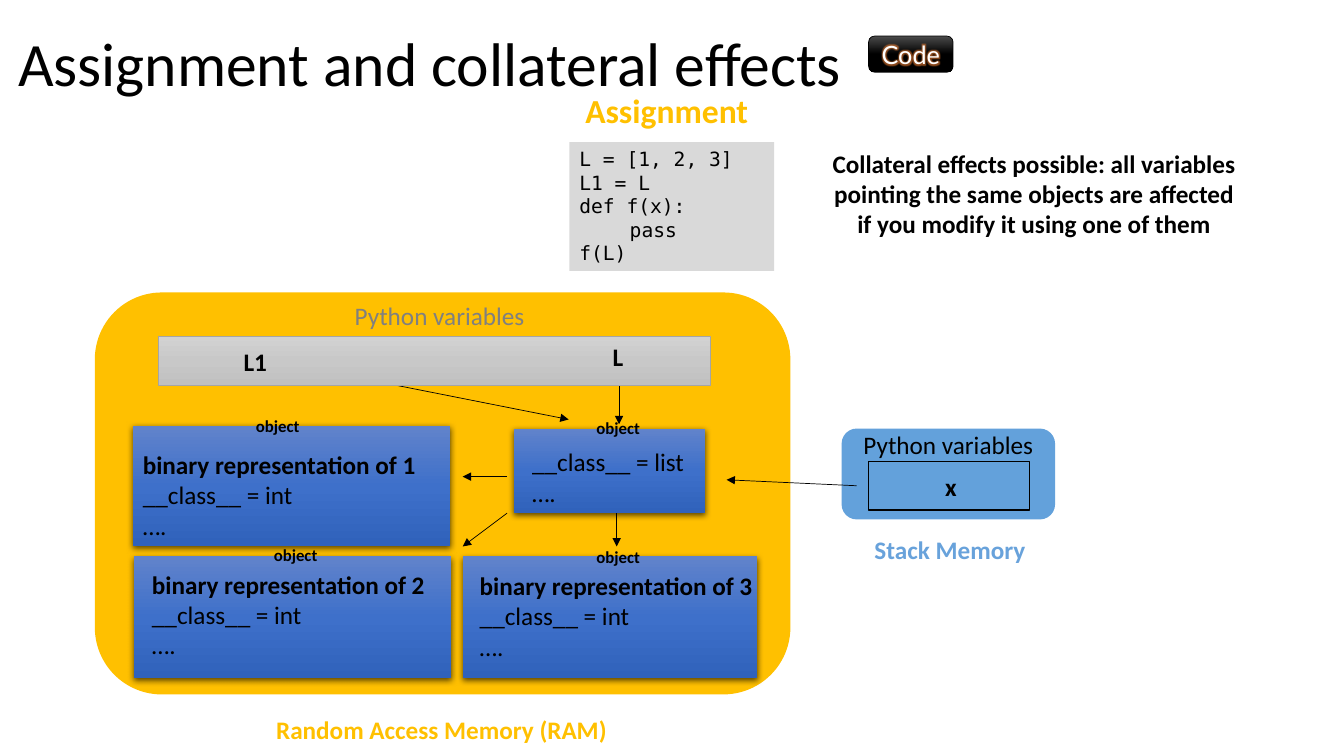
import copy
import lxml.etree
import pptx
import pptx.dml.color
import pptx.enum.shapes
import pptx.enum.text
import pptx.oxml.ns
import pptx.util

Cm, Pt = pptx.util.Cm, pptx.util.Pt
qn = pptx.oxml.ns.qn
SHAPE = pptx.enum.shapes.MSO_SHAPE
ALIGN = pptx.enum.text.PP_ALIGN
ANCHOR = pptx.enum.text.MSO_ANCHOR
FIT = pptx.enum.text.MSO_AUTO_SIZE


class Theme:
    black, white, gray = "000000", "FFFFFF", "808080"
    amber, stack, stack_label = "FFC000", "63A1DB", "68A2DB"
    code_back, bar_line, glow = "D9D9D9", "A5A5A5", "ED7D31"
    object_fill = ("6183CB", "3E70CA", "3062BB")
    bar_fill = ("D2D2D2", "C8C8C8", "C0C0C0")
    button_fill = ("4B4B4B", "000000", "000000")
    body, mono, button = "Calibri", "DejaVu Sans Mono", "Lato"
    title_size, heading_size, body_size, code_size, tag_size = 44, 24, 18, 14, 12


# All places are (left, top, width, height) in centimetres.
TITLE = ("Assignment and collateral effects", (0.2, 0.53, 29.21, 2.29))
CODE = (["L = [1, 2, 3]", "L1 = L", "def f(x):", "pass", "f(L)"], (14.35, 3.58, 5.16, 3.25))
INDENTED_LINE = 3
BUTTON = ("Code", (21.89, 0.91, 2.13, 0.91))
RAM = (2.39, 7.37, 17.53, 10.13)
STACK = (21.21, 10.8, 5.38, 2.29)
STACK_FRAME = (21.89, 11.63, 4.06, 1.22)
VARIABLE_BAR = (3.99, 8.48, 13.92, 1.22)

# object box, position of its "object" tag, place of its text, lines
OBJECTS = [
    ((3.35, 10.74, 8, 3.02), (6.2, 10.36), (3.35, 11.2, 7.42, 2.57),
     ["binary representation of 1", "__class__ = int", "…."]),
    ((3.38, 14.02, 8, 3.07), (6.65, 13.59), (3.58, 14.22, 7.42, 2.57),
     ["binary representation of 2", "__class__ = int", "…."]),
    ((12.95, 10.8, 4.83, 2.13), (14.78, 10.39), (13.16, 11.13, 7.42, 1.8),
     ["__class__ = list", "…."]),
    ((11.66, 14.02, 7.42, 3.07), (14.78, 13.64), (11.84, 14.25, 7.42, 2.57),
     ["binary representation of 3", "__class__ = int", "…."]),
]
TAG_SIZE = (1.63, 0.76)

ARROWS = [
    ((12.78, 12.01), (11.66, 12.01)),
    ((12.78, 12.93), (11.66, 13.77)),
    ((15.54, 12.93), (15.54, 13.77)),
    ((7.01, 9.12), (14.33, 10.57)),
    ((15.6, 9.45), (15.6, 10.69)),
    ((21.59, 12.24), (18.31, 12.09)),
]

# lines, place, colour, bold, wrapped and centred
LABELS = [
    (["Random Access Memory (RAM)"], (6.71, 17.88, 8.92, 1.02), Theme.amber, True, False),
    (["Python variables"], (8.69, 7.44, 4.83, 1.02), Theme.gray, False, False),
    (["Collateral effects possible: all variables pointing the same objects are affected",
      "if you modify it using one of them"], (20.65, 3.61, 10.82, 2.57), Theme.black, True, True),
    (["Python variables"], (21.51, 10.69, 4.83, 1.02), Theme.black, False, False),
    (["x"], (23.57, 11.76, 0.81, 1.02), Theme.black, True, False),
    (["Stack Memory"], (21.03, 13.34, 5.82, 1.02), Theme.stack_label, True, True),
    (["L1"], (5.89, 8.61, 1.12, 1.02), Theme.black, True, False),
    (["L"], (15.19, 8.48, 0.79, 1.02), Theme.black, True, False),
]
HEADING = (["Assignment"], (14.5, 2.13, 4.67, 1.27))


def rgb(color):
    return pptx.dml.color.RGBColor.from_string(color)


def set_all(target, **values):
    for name, value in values.items():
        setattr(target, name, value)


def write(frame, lines, size=Theme.body_size, color=Theme.black, font=Theme.body,
          bold_lines=0, align=ALIGN.LEFT):
    """Fill a text frame; the first bold_lines paragraphs are bold."""
    for number, line in enumerate(lines):
        paragraph = frame.paragraphs[0] if number == 0 else frame.add_paragraph()
        paragraph.alignment = align
        run = paragraph.add_run()
        run.text = line
        set_all(run.font, name=font, size=Pt(size), bold=number < bold_lines)
        run.font.color.rgb = rgb(color)


def add_text(slide, lines, place, wrap=False, **style):
    box = slide.shapes.add_textbox(*map(Cm, place))
    set_all(box.text_frame, word_wrap=wrap, auto_size=FIT.SHAPE_TO_FIT_TEXT)
    write(box.text_frame, lines, **style)
    return box


def paint(shape, fill):
    """Fill with nothing, one colour, or a downward gradient of evenly spaced colours."""
    if fill is None:
        shape.fill.background()
    elif isinstance(fill, str):
        shape.fill.solid()
        shape.fill.fore_color.rgb = rgb(fill)
    else:
        shape.fill.gradient()
        shape.fill.gradient_angle = 270
        stops = shape.element.spPr.find(".//" + qn("a:gsLst"))
        stops.append(copy.deepcopy(stops[-1]))
        for number, (stop, color) in enumerate(zip(shape.fill.gradient_stops, fill)):
            stop.color.rgb = rgb(color)
            stop.position = number / (len(fill) - 1)


def add_block(slide, preset, place, fill, line=None, width=0.5):
    block = slide.shapes.add_shape(preset, *map(Cm, place))
    block.shadow.inherit = False
    paint(block, fill)
    if line:
        block.line.color.rgb = rgb(line)
        block.line.width = Pt(width)
    else:
        block.line.fill.background()
    return block


def add_effect(effects, kind, color, alpha, **values):
    effect = lxml.etree.SubElement(effects, qn(kind), values)
    tint = lxml.etree.SubElement(effect, qn("a:srgbClr"), val=color)
    lxml.etree.SubElement(tint, qn("a:alpha"), val=str(alpha * 1000))


def add_arrow(slide, start, end):
    arrow = slide.shapes.add_connector(
        pptx.enum.shapes.MSO_CONNECTOR.STRAIGHT, *map(Cm, start + end))
    arrow.line.color.rgb = rgb(Theme.black)
    arrow.line.width = Pt(0.5)
    lxml.etree.SubElement(arrow.line._get_or_add_ln(), qn("a:tailEnd"), type="triangle")
    lxml.etree.SubElement(arrow.element.spPr, qn("a:effectLst"))


def add_title(slide):
    text, place = TITLE
    title = slide.shapes.title
    set_all(title, **dict(zip(("left", "top", "width", "height"), map(Cm, place))))
    set_all(title.text_frame, word_wrap=True, auto_size=FIT.NONE,
            vertical_anchor=ANCHOR.MIDDLE)
    write(title.text_frame, [text], size=Theme.title_size)
    title.text_frame.paragraphs[0].line_spacing = 0.9


def add_button(slide):
    text, place = BUTTON
    button = add_block(slide, SHAPE.ROUNDED_RECTANGLE, place, Theme.button_fill, Theme.black)
    set_all(button.text_frame, word_wrap=False, vertical_anchor=ANCHOR.MIDDLE)
    write(button.text_frame, [text], color=Theme.white, font=Theme.button, align=ALIGN.CENTER)
    properties = button.text_frame.paragraphs[0].runs[0].font._element
    effects = lxml.etree.Element(qn("a:effectLst"))
    properties.find(qn("a:solidFill")).addnext(effects)
    add_effect(effects, "a:glow", Theme.glow, 60, rad=str(Pt(5)))


def main():
    deck = pptx.Presentation()
    set_all(deck, slide_width=Cm(33.87), slide_height=Cm(19.05))
    slide = deck.slides.add_slide(deck.slide_layouts[5])
    add_title(slide)

    add_block(slide, SHAPE.ROUNDED_RECTANGLE, RAM, Theme.amber)
    add_block(slide, SHAPE.ROUNDED_RECTANGLE, STACK, Theme.stack)
    add_block(slide, SHAPE.RECTANGLE, STACK_FRAME, None, Theme.black, 1)
    for place, *_ in OBJECTS:
        block = add_block(slide, SHAPE.RECTANGLE, place, Theme.object_fill)
        add_effect(block.element.spPr.find(qn("a:effectLst")), "a:outerShdw", Theme.black, 63,
                   blurRad=str(Pt(4.5)), dist=str(Pt(1.5)), dir="5400000", rotWithShape="0")
    for start, end in ARROWS:
        add_arrow(slide, start, end)
    add_block(slide, SHAPE.RECTANGLE, VARIABLE_BAR, Theme.bar_fill, Theme.bar_line)

    code = add_text(slide, *CODE, wrap=True, size=Theme.code_size, font=Theme.mono)
    paint(code, Theme.code_back)
    code.text_frame.paragraphs[INDENTED_LINE].level = 1
    for _, tag, place, lines in OBJECTS:
        add_text(slide, ["object"], tag + TAG_SIZE, size=Theme.tag_size, bold_lines=1)
        add_text(slide, lines, place, wrap=True, bold_lines=len(lines) - 2)
    for lines, place, color, bold, centred in LABELS:
        add_text(slide, lines, place, wrap=centred, color=color,
                 bold_lines=len(lines) if bold else 0,
                 align=ALIGN.CENTER if centred else ALIGN.LEFT)
    add_text(slide, *HEADING, size=Theme.heading_size, color=Theme.amber, bold_lines=1)
    add_button(slide)
    deck.save("out.pptx")


if __name__ == "__main__":
    main()
